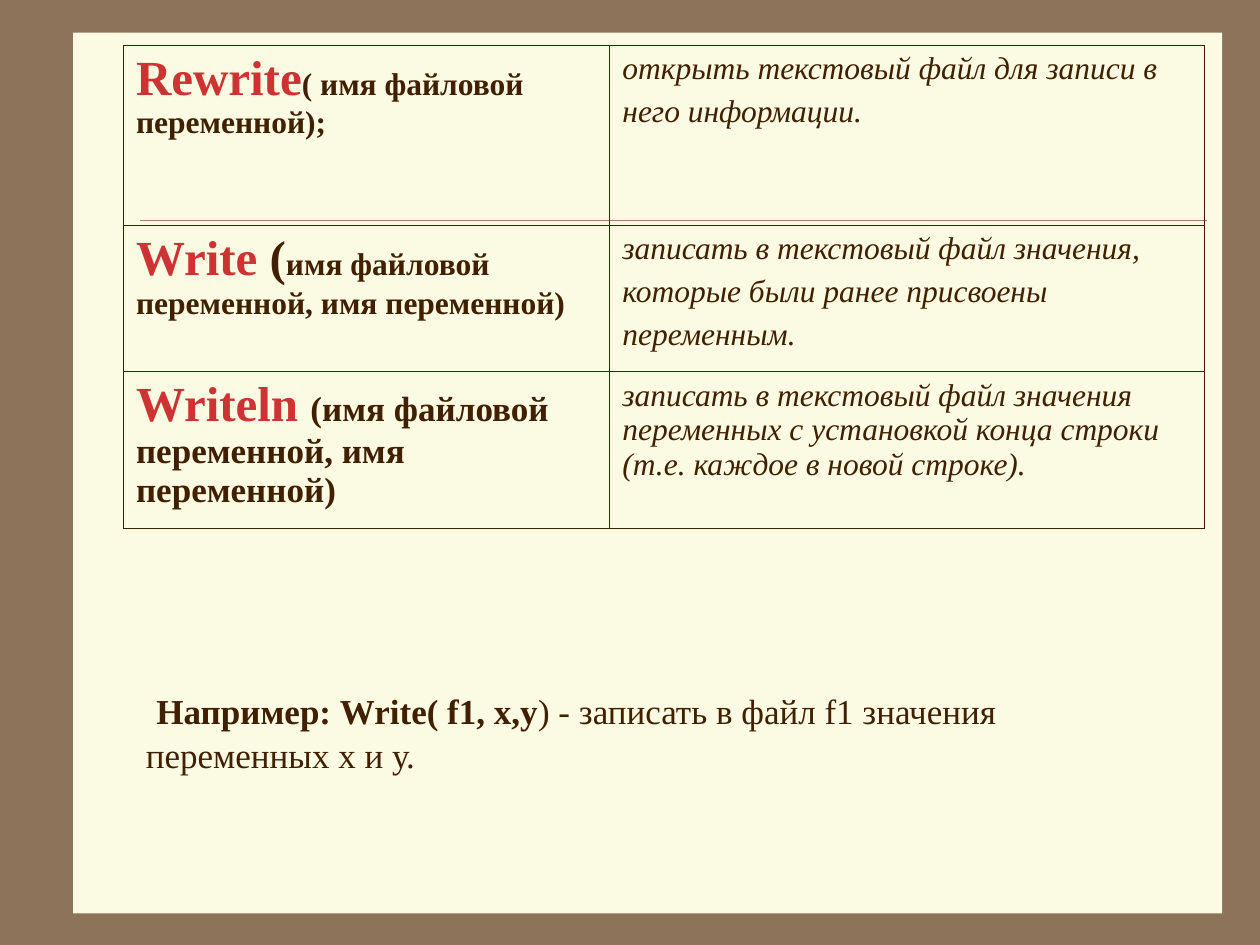
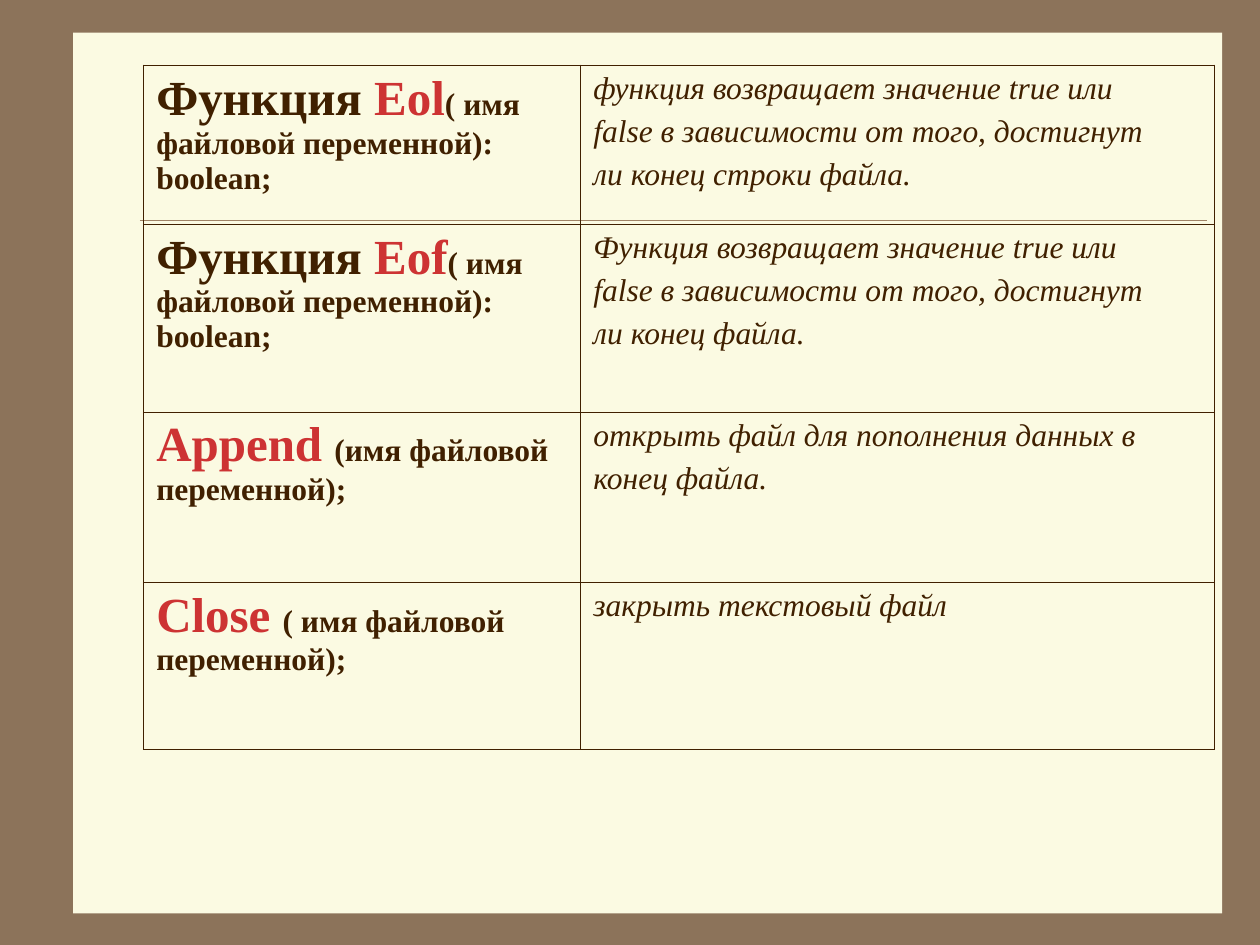
"""Build two slides on text file procedures and functions in Pascal."""
from lxml import etree
from pptx import Presentation
from pptx.dml.color import RGBColor
from pptx.enum.shapes import MSO_CONNECTOR, MSO_SHAPE
from pptx.oxml.ns import qn
from pptx.util import Inches, Pt

RECTANGLE = MSO_SHAPE.RECTANGLE
STRAIGHT = MSO_CONNECTOR.STRAIGHT

THEME = {
    "frame": RGBColor.from_string("8C735A"),
    "paper": RGBColor.from_string("FBFAE2"),
    "rule": RGBColor.from_string("A08366"),
    "ink": RGBColor.from_string("402000"),
    "accent": RGBColor.from_string("CD3333"),
    "font": "Times New Roman",
    "thin": 0.45,
    "thick": 1.08,
    "paragraph_gap": 4.5,
}

# style name: size, colour, bold, italic
STYLES = {
    "command": (28, "accent", True, False),
    "keyword": (28, "ink", True, False),
    "argument": (18, "ink", True, False),
    "large_argument": (20, "ink", True, False),
    "meaning": (18, "ink", False, True),
    "example": (20, "ink", False, False),
    "example_lead": (24, "accent", True, False),
}

EXAMPLE = [
    (" ", "example_lead"),
    ("Например: Write( f1, x,y", "large_argument"),
    (") - записать в файл f1 значения переменных х и у.", "example"),
]

PAGES = [
    {
        "place": (0.98, 0.36), "columns": (3.86, 4.72), "rows": (1.43, 1.16, 1.24),
        "outline": "thin", "example": EXAMPLE,
        "entries": [
            ([("Rewrite", "command"), ("( имя файловой переменной);", "argument")],
             ["открыть текстовый файл для записи в", "него информации."]),
            ([("Write", "command"), (" (", "keyword"),
              ("имя файловой переменной, имя переменной)", "argument")],
             ["записать в текстовый файл значения,", "которые были ранее присвоены",
              "переменным."]),
            ([("Writeln ", "command"),
              ("(имя файловой переменной, имя переменной)", "large_argument")],
             ["записать в текстовый файл значения переменных с установкой конца строки "
              "(т.е. каждое в новой строке)."]),
        ],
    },
    {
        "place": (1.14, 0.52), "columns": (3.47, 5.03), "rows": (1.26, 1.49, 1.35, 1.33),
        "outline": "thick", "example": None,
        "entries": [
            ([("Функция ", "keyword"), ("Eol", "command"),
              ("( имя файловой переменной): boolean;", "argument")],
             ["функция возвращает значение true или",
              "false в зависимости от того, достигнут", "ли конец строки файла."]),
            ([("Функция ", "keyword"), ("Eof", "command"),
              ("( имя файловой переменной): boolean;", "argument")],
             ["Функция возвращает значение true или",
              "false в зависимости от того, достигнут", "ли конец файла."]),
            ([("Append ", "command"), ("(имя файловой переменной);", "argument")],
             ["открыть файл для пополнения данных в", "конец файла."]),
            ([("Close ", "command"), ("( имя файловой переменной);", "argument")],
             ["закрыть текстовый файл"]),
        ],
    },
]


def write_paragraphs(frame, paragraphs):
    for index, spans in enumerate(paragraphs):
        para = frame.add_paragraph() if index else frame.paragraphs[0]
        if index:
            para.space_before = Pt(THEME["paragraph_gap"])
        for text, style in spans:
            size, colour, bold, italic = STYLES[style]
            span = para.add_run()
            span.text = text
            span.font.name = THEME["font"]
            span.font.size = Pt(size)
            span.font.bold = bold
            span.font.italic = italic
            span.font.color.rgb = THEME[colour]


def set_borders(cell, widths):
    properties = cell._tc.get_or_add_tcPr()
    for index, (side, width) in enumerate(widths.items()):
        border = etree.Element(qn(f"a:ln{side}"), w=str(Pt(width)))
        fill = etree.SubElement(border, qn("a:solidFill"))
        etree.SubElement(fill, qn("a:srgbClr"), val=str(THEME["ink"]))
        properties.insert(index, border)


deck = Presentation()
deck.slide_width = Inches(10)
deck.slide_height = Inches(7.5)

for content in PAGES:
    page = deck.slides.add_slide(deck.slide_layouts[6])
    page.background.fill.solid()
    page.background.fill.fore_color.rgb = THEME["frame"]

    paper = page.shapes.add_shape(RECTANGLE, Inches(0.58), Inches(0.26), Inches(9.12), Inches(6.99))
    paper.shadow.inherit = False
    paper.fill.solid()
    paper.fill.fore_color.rgb = THEME["paper"]
    paper.line.fill.background()

    rule = page.shapes.add_connector(STRAIGHT, Inches(1.11), Inches(1.75), Inches(9.58), Inches(1.75))
    rule.line.color.rgb = THEME["rule"]
    rule.line.width = Pt(0.25)
    etree.SubElement(rule._element.spPr, qn("a:effectLst"))

    if content["example"]:
        box = page.shapes.add_textbox(Inches(1.06), Inches(5.32), Inches(7.96), Inches(1.17))
        box.text_frame.word_wrap = True
        box.text_frame.margin_top = Inches(0.1)
        write_paragraphs(box.text_frame, [content["example"]])

    left, top = content["place"]
    columns, rows = content["columns"], content["rows"]
    table = page.shapes.add_table(
        len(rows), len(columns), Inches(left), Inches(top),
        Inches(sum(columns)), Inches(sum(rows))).table
    table.first_row = False
    table.horz_banding = False
    for column, width in zip(table.columns, columns):
        column.width = Inches(width)

    thin, outline = THEME["thin"], THEME[content["outline"]]
    for row_index, (syntax, meaning) in enumerate(content["entries"]):
        table.rows[row_index].height = Inches(rows[row_index])
        cell_texts = [[syntax], [[(line, "meaning")] for line in meaning]]
        for column_index, paragraphs in enumerate(cell_texts):
            cell = table.cell(row_index, column_index)
            cell.fill.background()
            set_borders(cell, {
                "L": outline if column_index == 0 else thin,
                "R": outline if column_index == len(columns) - 1 else thin,
                "T": outline if row_index == 0 else thin,
                "B": outline if row_index == len(rows) - 1 else thin,
            })
            write_paragraphs(cell.text_frame, paragraphs)

deck.save("out.pptx")
